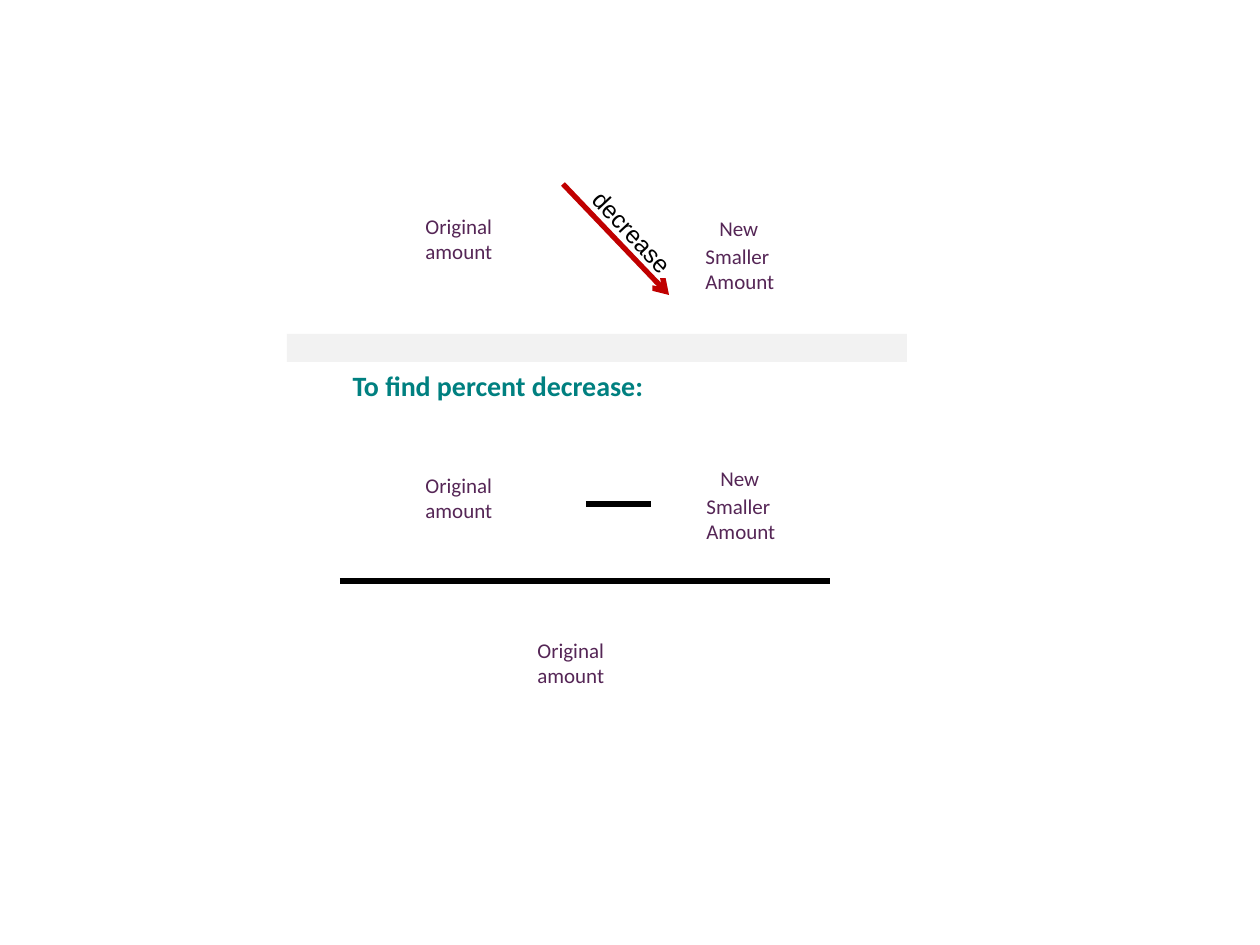
from lxml import etree
from pptx import Presentation
from pptx.dml.color import RGBColor
from pptx.enum.shapes import MSO_CONNECTOR, MSO_SHAPE
from pptx.enum.text import MSO_ANCHOR, MSO_AUTO_SIZE, PP_ALIGN
from pptx.oxml.ns import qn
from pptx.util import Inches, Pt

STRAIGHT = MSO_CONNECTOR.STRAIGHT
RECTANGLE = MSO_SHAPE.RECTANGLE
TOP = MSO_ANCHOR.TOP
GROW = MSO_AUTO_SIZE.SHAPE_TO_FIT_TEXT
LEFT = PP_ALIGN.LEFT

BLACK = RGBColor(0x00, 0x00, 0x00)
RED = RGBColor(0xC0, 0x00, 0x00)
PURPLE = RGBColor(0x55, 0x26, 0x56)
TEAL = RGBColor(0x00, 0x80, 0x80)
PALE_GRAY = RGBColor(0xF2, 0xF2, 0xF2)

PX_PER_INCH = 126
TITLE_ONLY = 5


def px(length):
    return round(length * Inches(1) / PX_PER_INCH)


def place(shape, left, top, width, height):
    shape.left, shape.top = px(left), px(top)
    shape.width, shape.height = px(width), px(height)


def write_text(shape, text, size=12, color=PURPLE, font="Calibri", bold=False, wrap=False):
    frame = shape.text_frame
    frame.text = text
    frame.word_wrap = wrap
    frame.auto_size = GROW
    frame.vertical_anchor = TOP
    for paragraph in frame.paragraphs:
        paragraph.alignment = LEFT
        paragraph.line_spacing = 1.0
        paragraph.font.name = font
        paragraph.font.size = Pt(size)
        paragraph.font.bold = bold
        paragraph.font.color.rgb = color


def add_text(slide, text, left, top, width, height, **text_format):
    shape = slide.shapes.add_textbox(px(left), px(top), px(width), px(height))
    write_text(shape, text, **text_format)
    return shape


def add_original_amount(slide, left, top):
    add_text(slide, "Original\namount", left, top, 93, 63)


def add_new_amount(slide, left, top):
    shape = add_text(slide, "New\nSmaller\nAmount", left, top, 94, 102)
    shape.text_frame.margin_top = px(16)
    first = shape.text_frame.paragraphs[0]
    first.space_after = Pt(1.5)
    first._p.get_or_add_pPr().set("indent", str(px(14)))


def add_line(slide, start, end, color=BLACK, arrow=False):
    line = slide.shapes.add_connector(STRAIGHT, *map(px, start + end))
    line.line.color.rgb = color
    line.line.width = Pt(3)
    if arrow:
        outline = line.line._get_or_add_ln()
        etree.SubElement(outline, qn("a:tailEnd"), type="arrow")
    etree.SubElement(line._element.spPr, qn("a:effectLst"))


def add_divider(slide, left, top, width, height):
    shape = slide.shapes.add_shape(RECTANGLE, px(left), px(top), px(width), px(height))
    shape.shadow.inherit = False
    shape.fill.solid()
    shape.fill.fore_color.rgb = PALE_GRAY
    shape.line.fill.background()


def main():
    presentation = Presentation()
    presentation.slide_width = Inches(10)
    presentation.slide_height = Inches(7.5)
    slide = presentation.slides.add_slide(presentation.slide_layouts[TITLE_ONLY])

    title = slide.shapes.title
    place(title, 340, 362, 514, 47)
    write_text(title, "To find percent decrease:", size=16, color=TEAL, bold=True, wrap=True)

    add_line(slide, (340, 581), (830, 581))
    add_line(slide, (586, 504), (651, 504))
    for left, top in ((693, 200), (694, 450)):
        add_new_amount(slide, left, top)
    for left, top in ((525, 631), (413, 207), (413, 466)):
        add_original_amount(slide, left, top)

    label = add_text(slide, "decrease", 563, 224, 163, 43,
                     size=14, color=BLACK, font="Arial", wrap=True)
    label.rotation = 47
    add_line(slide, (563, 184), (669, 295), color=RED, arrow=True)
    add_divider(slide, 287, 334, 620, 28)

    presentation.save("out.pptx")


if __name__ == "__main__":
    main()
